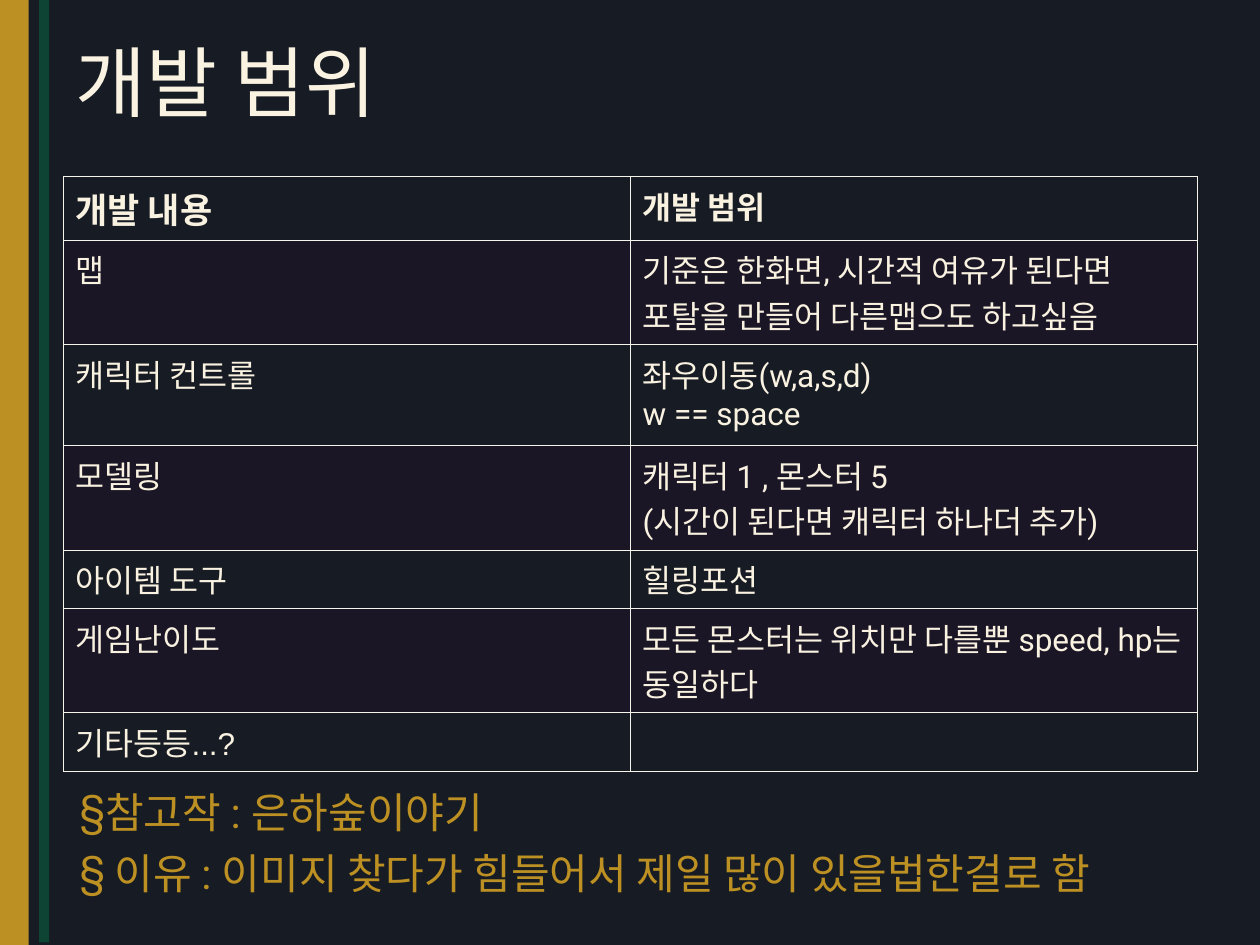
from dataclasses import dataclass

from lxml import etree
from pptx import Presentation
from pptx import util as u
from pptx.dml.color import RGBColor
from pptx.enum import shapes, text
from pptx.oxml import ns

BACKGROUND = "171B24"
GOLD = "BC9022"
GREEN = "0E4434"
TITLE_CREAM = "FAF3E1"
CREAM = "F9F2E1"
BORDER = "F6F3EB"
BAND = "2E0432"


@dataclass
class Bar:
    left: float
    width: float
    height: float
    color: str


@dataclass
class ScopeRow:
    height: float
    topic: str
    scope: list[str]
    font: str = "Roboto"


BARS = [Bar(0.79, 0.2, 19, GREEN), Bar(0, 0.58, 19.05, GOLD)]

ROWS = [
    ScopeRow(1.27, "개발 내용", ["개발 범위"]),
    ScopeRow(2.11, "맵", ["기준은 한화면, 시간적 여유가 된다면 포탈을 만들어 다른맵으도 하고싶음"]),
    ScopeRow(2.03, "캐릭터 컨트롤", ["좌우이동(w,a,s,d)", "w == space"]),
    ScopeRow(2.11, "모델링", ["캐릭터 1 , 몬스터 5", "(시간이 된다면 캐릭터 하나더 추가)"]),
    ScopeRow(1.17, "아이템 도구", ["힐링포션"]),
    ScopeRow(2.11, "게임난이도", ["모든 몬스터는 위치만 다를뿐 speed, hp는 동일하다"]),
    ScopeRow(1.19, "기타등등...?", [""], "Arial"),
]

NOTES = ["참고작 : 은하숲이야기", " 이유 : 이미지 찾다가 힘들어서 제일 많이 있을법한걸로 함"]


def rgb(color: str) -> RGBColor:
    return RGBColor.from_string(color)


def child(parent, tag: str, **attributes: str):
    return etree.SubElement(parent, ns.qn(tag), attributes)


def add_bullet(paragraph, color: str) -> None:
    properties = paragraph._p.get_or_add_pPr()
    properties.set("marL", str(u.Cm(0.51)))
    properties.set("indent", str(-u.Cm(0.51)))
    child(child(properties, "a:buClr"), "a:srgbClr", val=color)
    child(properties, "a:buFont", typeface="Roboto")
    child(properties, "a:buChar", char="§")


def write(frame, lines: list[str], *, size: float, color: str, font: str = "Roboto",
          bold: bool = False, bullet: bool = False, gap: float = 0) -> None:
    for index, line in enumerate(lines):
        paragraph = frame.add_paragraph() if index else frame.paragraphs[0]
        paragraph.text = line
        if bullet:
            add_bullet(paragraph, color)
        paragraph.alignment = text.PP_ALIGN.LEFT
        paragraph.space_before = u.Pt(gap if index else 0)
        paragraph.font.name = font
        paragraph.font.size = u.Pt(size)
        paragraph.font.bold = bold
        paragraph.font.color.rgb = rgb(color)


def place(shape, left: float, top: float, width: float, height: float) -> None:
    shape.left, shape.top = u.Cm(left), u.Cm(top)
    shape.width, shape.height = u.Cm(width), u.Cm(height)


def draw_bar(slide, bar: Bar) -> None:
    shape = slide.shapes.add_shape(shapes.MSO_SHAPE.RECTANGLE, u.Cm(bar.left), 0,
                                   u.Cm(bar.width), u.Cm(bar.height))
    shape.shadow.inherit = False
    shape.fill.solid()
    shape.fill.fore_color.rgb = rgb(bar.color)
    shape.line.fill.background()


def format_cell(cell, banded: bool) -> None:
    properties = cell._tc.get_or_add_tcPr()
    for side in ("a:lnL", "a:lnR", "a:lnT", "a:lnB"):
        line = child(properties, side, w=str(u.Pt(0.62)))
        child(child(line, "a:solidFill"), "a:srgbClr", val=BORDER)
    if banded:
        cell.fill.solid()
        cell.fill.fore_color.rgb = rgb(BAND)
        child(properties.find(".//" + ns.qn("a:srgbClr") + f"[@val='{BAND}']"),
              "a:alpha", val="20000")
    else:
        cell.fill.background()


def draw_table(slide, rows: list[ScopeRow]) -> None:
    height = sum(row.height for row in rows)
    table = slide.shapes.add_table(len(rows), 2, u.Cm(1.27), u.Cm(3.56),
                                   u.Cm(22.86), u.Cm(height)).table
    table.first_row = table.horz_banding = False
    for index, row in enumerate(rows):
        table.rows[index].height = u.Cm(row.height)
        for column, lines in enumerate(([row.topic], row.scope)):
            cell = table.cell(index, column)
            format_cell(cell, banded=index % 2 == 1)
            write(cell.text_frame, lines, size=20 if index + column == 0 else 18,
                  color=CREAM, font=row.font, bold=index == 0)


def main() -> None:
    presentation = Presentation()
    presentation.slide_width, presentation.slide_height = u.Cm(25.4), u.Cm(19.05)
    slide = presentation.slides.add_slide(presentation.slide_layouts[1])
    slide.background.fill.solid()
    slide.background.fill.fore_color.rgb = rgb(BACKGROUND)

    for bar in BARS:
        draw_bar(slide, bar)

    title, notes = slide.placeholders
    place(title, 1.27, 0.51, 22.86, 2.24)
    title.text_frame.auto_size = text.MSO_AUTO_SIZE.NONE
    title.text_frame.vertical_anchor = text.MSO_ANCHOR.MIDDLE
    write(title.text_frame, ["개발 범위"], size=44, color=TITLE_CREAM, font="Arial")

    draw_table(slide, ROWS)

    place(notes, 1.35, 15.72, 22.73, 2.54)
    notes.text_frame.auto_size = text.MSO_AUTO_SIZE.NONE
    notes.text_frame.word_wrap = False
    write(notes.text_frame, NOTES, size=24, color=GOLD, bullet=True, gap=6)

    presentation.save("out.pptx")


if __name__ == "__main__":
    main()
